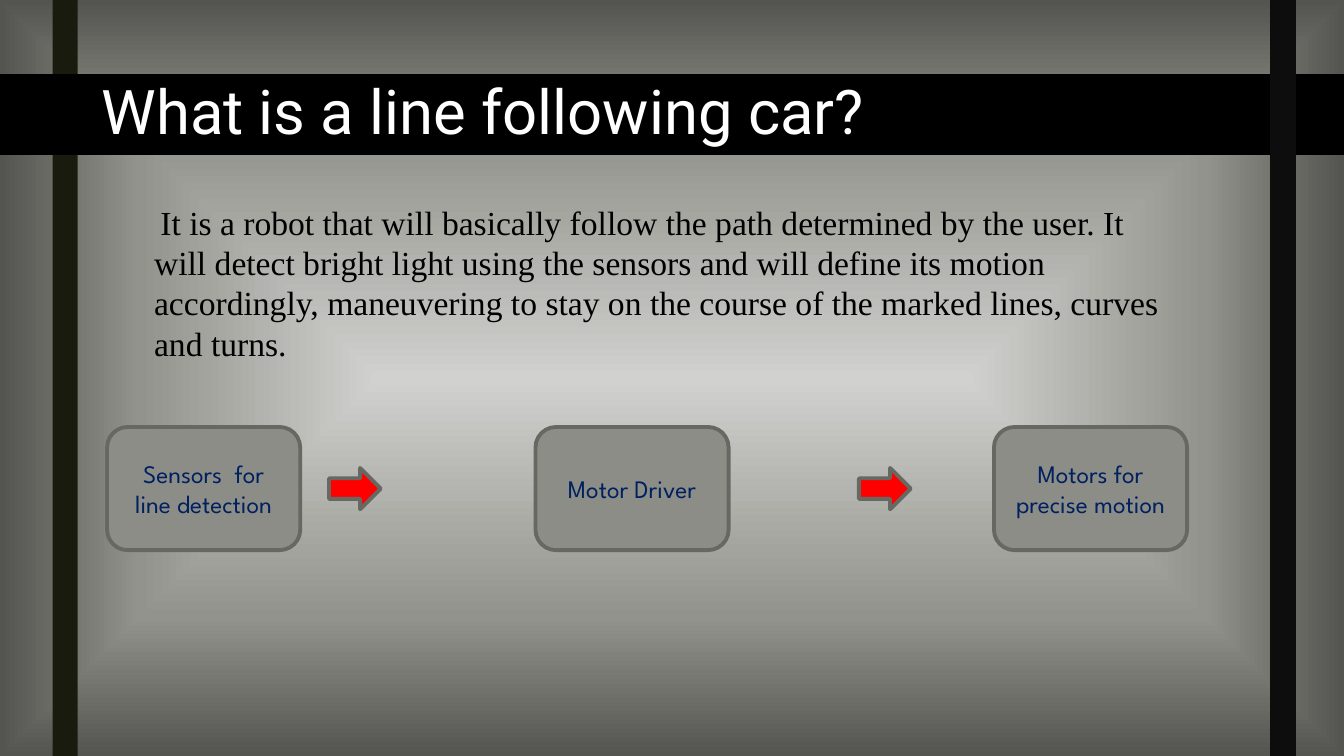
import pptx
import pptx.dml.color
import pptx.enum.shapes
import pptx.enum.text
import pptx.oxml
import pptx.oxml.ns
import pptx.util
from lxml import etree

Pt = pptx.util.Pt
SHAPE = pptx.enum.shapes.MSO_SHAPE
ANCHOR = pptx.enum.text.MSO_ANCHOR
ALIGN = pptx.enum.text.PP_ALIGN
qn = pptx.oxml.ns.qn
WIDTH, HEIGHT = 960, 540


def color(value):
    return pptx.dml.color.RGBColor.from_string(value)


def paint(sp, fill, line=None):
    sp.fill.solid()
    sp.fill.fore_color.rgb = color(fill)
    if line:
        sp.line.color.rgb = color(line)
        sp.line.width = Pt(2.75)
    else:
        sp.line.fill.background()


def add_block(s, kind, x, y, w, h, fill, line=None):
    sp = s.shapes.add_shape(kind, Pt(x), Pt(y), Pt(w), Pt(h))
    sp.shadow.inherit = False
    paint(sp, fill, line)
    return sp


def style(p, size, name, value):
    for r in p.runs:
        r.font.size = Pt(size)
        r.font.name = name
        r.font.color.rgb = color(value)


def set_background(s, stops):
    s.background.fill.solid()
    bg = s.element.find(".//" + qn("p:bgPr"))
    grad = etree.Element(qn("a:gradFill"), rotWithShape="1")
    gs_list = etree.SubElement(grad, qn("a:gsLst"))
    for pos, value in stops:
        gs = etree.SubElement(gs_list, qn("a:gs"), pos=str(pos * 1000))
        etree.SubElement(gs, qn("a:srgbClr"), val=value)
    shade = etree.SubElement(grad, qn("a:path"), path="shape")
    etree.SubElement(shade, qn("a:fillToRect"), {side: "50000" for side in "ltrb"})
    bg.replace(bg[0], grad)


def add_title(s, text, x, y, w, h):
    sp = s.shapes.title
    s.shapes.element.append(sp.element)
    sp.left, sp.top, sp.width, sp.height = Pt(x), Pt(y), Pt(w), Pt(h)
    paint(sp, "000000", "000000")
    tf = sp.text_frame
    tf.text = text
    tf.auto_size = pptx.enum.text.MSO_AUTO_SIZE.NONE
    tf.vertical_anchor = ANCHOR.MIDDLE
    tf.margin_left = Pt(72.5)
    p = tf.paragraphs[0]
    p.alignment = ALIGN.LEFT
    p.line_spacing = 0.89
    style(p, 44, "Roboto", "FFFFFF")


def add_description(s, text, x, y, w, h):
    sp = s.shapes.add_textbox(Pt(x), Pt(y), Pt(w), Pt(h))
    tf = sp.text_frame
    tf.word_wrap = True
    tf.auto_size = pptx.enum.text.MSO_AUTO_SIZE.SHAPE_TO_FIT_TEXT
    tf.text = text
    p = tf.paragraphs[0]
    p._p.get_or_add_pPr().set("indent", str(Pt(4.5)))
    style(p, 24, "Times New Roman", "000000")


def add_flow(s, steps, arrows, x, y, w, h):
    step_w, arrow_w, arrow_h = 138, 37, 29.5
    for dx, text in steps:
        sp = add_block(s, SHAPE.ROUNDED_RECTANGLE, x + dx, y, step_w, h, "8C8D86", "686863")
        tf = sp.text_frame
        tf.text = text
        tf.word_wrap = True
        tf.vertical_anchor = ANCHOR.MIDDLE
        p = tf.paragraphs[0]
        p.alignment = ALIGN.CENTER
        style(p, 18, "League Spartan", "002060")
    for dx in arrows:
        add_block(s, SHAPE.RIGHT_ARROW, x + dx, y + (h - arrow_h) / 2, arrow_w, arrow_h, "FF0000", "686863")


def build_slide(prs):
    s = prs.slides.add_slide(prs.slide_layouts[5])
    set_background(s, [(0, "D1D1CF"), (63, "92938C"), (100, "545550")])
    add_block(s, SHAPE.RECTANGLE, 37.5, 0, 18, HEIGHT, "191B0E")
    add_title(s, "What is a line following car?", 0, 54, WIDTH, 55.5)
    add_description(
        s,
        "It is a robot that will basically follow the path determined by the user. "
        "It will detect bright light using the sensors and will define its motion "
        "accordingly, maneuvering to stay on the course of the marked lines, curves and turns.",
        103, 140.5, 745, 124,
    )
    steps = [(0, "Sensors  for line detection"), (306, "Motor Driver"), (633.5, "Motors for precise motion")]
    add_flow(s, steps, [158.5, 537], 76.5, 305, 771.5, 88)
    add_block(s, SHAPE.RECTANGLE, 908.5, 0, 16, HEIGHT, "0D0D0D", "0D0D0D")


def main():
    prs = pptx.Presentation()
    prs.slide_width, prs.slide_height = Pt(WIDTH), Pt(HEIGHT)
    build_slide(prs)
    prs.save("out.pptx")


if __name__ == "__main__":
    main()
